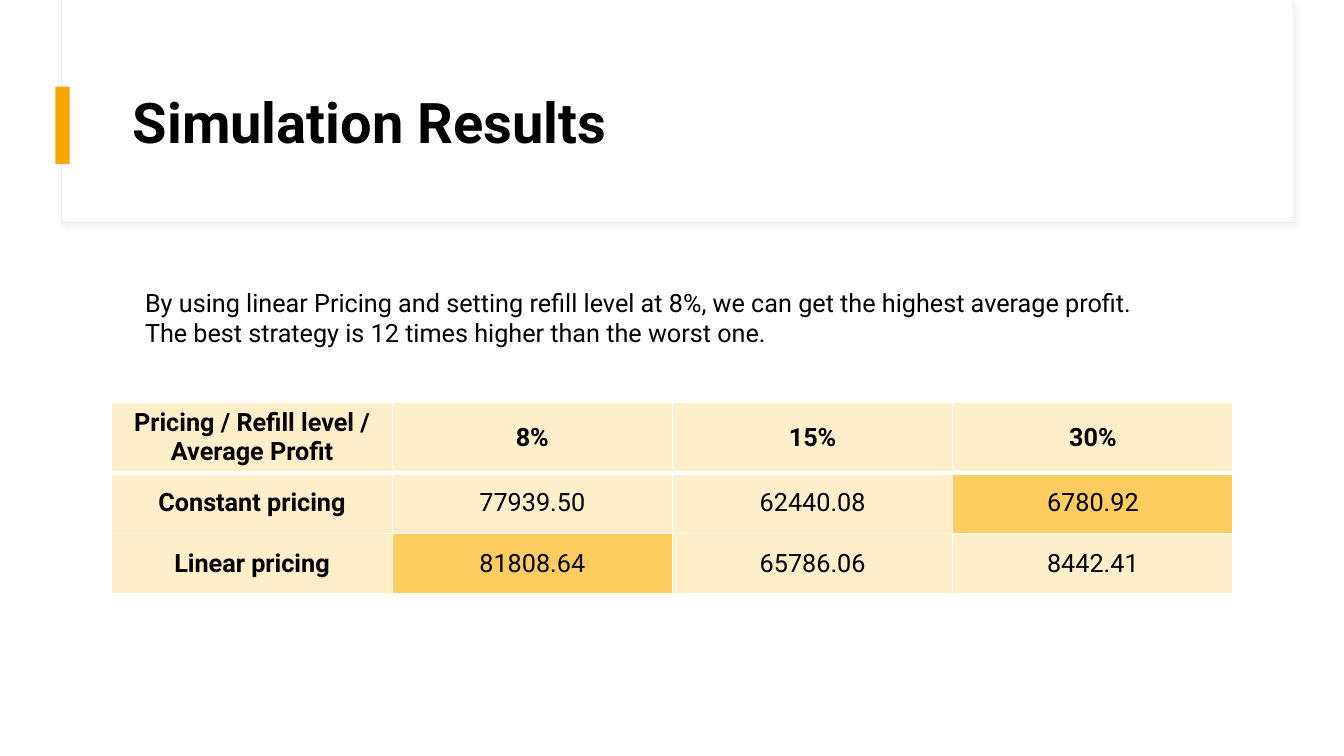
from lxml.etree import SubElement
from pptx import Presentation
from pptx.dml.color import RGBColor
from pptx.enum.shapes import MSO_SHAPE as Shape
from pptx.enum.text import MSO_ANCHOR as Anchor, PP_ALIGN as Align
from pptx.oxml import parse_xml
from pptx.oxml.ns import nsdecls, qn
from pptx.util import Inches, Pt

FONT = "Roboto"
BLACK, WHITE, AMBER = "000000", "FFFFFF", "F5A700"
PALE, HIGHLIGHT = "FFEECA", "FFCC60"
TITLE = "Simulation Results"
FINDINGS = [
    "By using linear Pricing and setting refill level at 8%, we can get the highest average profit.",
    "The best strategy is 12 times higher than the worst one.",
]
PROFITS = [
    ["Pricing / Refill level / Average Profit", "8%", "15%", "30%"],
    ["Constant pricing", "77939.50", "62440.08", "6780.92"],
    ["Linear pricing", "81808.64", "65786.06", "8442.41"],
]
BEST_AND_WORST = {"81808.64", "6780.92"}
ROW_HEIGHTS = [0.68, 0.6, 0.6]
COLUMN_WIDTH = 2.78


def color(value):
    """Turn a hex string into a colour."""
    return RGBColor.from_string(value)


def add_panel(page, place, fill, line=None):
    """Add a filled rectangle with an optional thin outline."""
    panel = page.shapes.add_shape(Shape.RECTANGLE, *map(Inches, place))
    panel.shadow.inherit = False
    panel.fill.solid()
    panel.fill.fore_color.rgb = color(fill)
    if line:
        panel.line.color.rgb = color(line)
        panel.line.width = Pt(0.75)
    else:
        panel.line.fill.background()
    return panel


def add_soft_shadow(panel):
    """Give a panel a faint shadow toward the lower right."""
    effects = panel.element.spPr.find(qn("a:effectLst"))
    effects.append(parse_xml(
        f'<a:outerShdw {nsdecls("a")} blurRad="{Pt(4)}" dist="{Pt(3)}" dir="2700000" '
        'algn="tl" rotWithShape="0"><a:srgbClr val="D9D9D9"><a:alpha val="30000"/>'
        '</a:srgbClr></a:outerShdw>'))


def write(frame, lines, size, bold=False, align=Align.LEFT):
    """Fill a text frame with one paragraph per line."""
    frame.text = "\n".join(lines)
    for para in frame.paragraphs:
        para.alignment = align
        for span in para.runs:
            span.font.name = FONT
            span.font.size = Pt(size)
            span.font.bold = bold
            span.font.color.rgb = color(BLACK)


def add_text(page, place, lines, size, bold=False, wrap=True):
    """Add a text box and return its frame."""
    frame = page.shapes.add_textbox(*map(Inches, place)).text_frame
    frame.word_wrap = wrap
    write(frame, lines, size, bold)
    return frame


def add_borders(cell, widths):
    """Draw white borders on the named sides of a cell."""
    properties = cell._tc.get_or_add_tcPr()
    for side, width in widths.items():
        border = SubElement(properties, qn(f"a:ln{side}"), w=str(Pt(width)))
        fill = SubElement(border, qn("a:solidFill"))
        SubElement(fill, qn("a:srgbClr"), val=WHITE)


def add_profit_table(page):
    """Add the table of average profits."""
    columns = len(PROFITS[0])
    place = (1.11, 3.99, COLUMN_WIDTH * columns, sum(ROW_HEIGHTS))
    table = page.shapes.add_table(len(PROFITS), columns, *map(Inches, place)).table
    for column in table.columns:
        column.width = Inches(COLUMN_WIDTH)
    for row, height in enumerate(ROW_HEIGHTS):
        table.rows[row].height = Inches(height)
        for column, label in enumerate(PROFITS[row]):
            cell = table.cell(row, column)
            cell.vertical_anchor = Anchor.MIDDLE
            write(cell.text_frame, [label], 18, row == 0 or column == 0, Align.CENTER)
            top, bottom = (3 if row == 1 else 1), (3 if row == 0 else 1)
            add_borders(cell, {"L": 1, "R": 1, "T": top, "B": bottom})
            cell.fill.solid()
            cell.fill.fore_color.rgb = color(HIGHLIGHT if label in BEST_AND_WORST else PALE)


def main():
    """Build the simulation results slide."""
    deck = Presentation()
    deck.slide_width, deck.slide_height = Inches(13.33), Inches(7.5)
    page = deck.slides.add_slide(deck.slide_layouts[6])
    add_soft_shadow(add_panel(page, (0.61, 0, 12.21, 2.21), WHITE, "E9E9E9"))
    add_panel(page, (0.62, 0, 12.2, 2.2), WHITE)
    add_panel(page, (0.55, 0.86, 0.14, 0.77), AMBER)
    title = add_text(page, (1.22, 0.6, 11.12, 1.29), [TITLE], 40, bold=True)
    title.vertical_anchor = Anchor.MIDDLE
    title.paragraphs[0].line_spacing = 0.9
    add_profit_table(page)
    add_text(page, (1.34, 2.8, 10.65, 0.71), FINDINGS, 18, wrap=False)
    deck.save("out.pptx")


if __name__ == "__main__":
    main()
